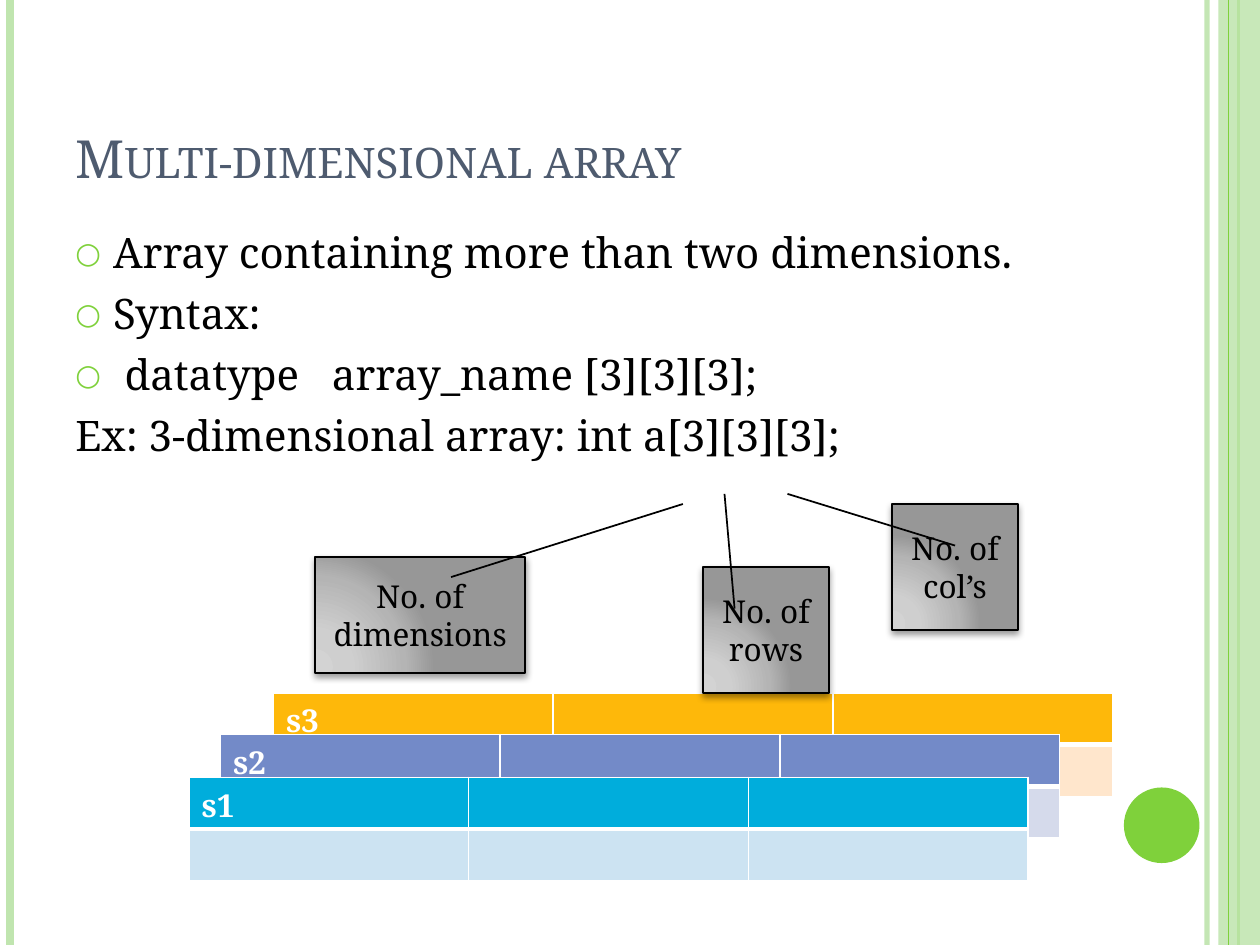
from dataclasses import dataclass
from lxml.etree import SubElement
from pptx import Presentation
from pptx.dml.color import RGBColor
from pptx.enum.shapes import MSO_CONNECTOR, MSO_SHAPE
from pptx.enum.text import MSO_ANCHOR, PP_ALIGN
from pptx.oxml import parse_xml
from pptx.oxml.ns import nsdecls, qn
from pptx.util import Inches, Pt


@dataclass(frozen=True)
class Theme:
    """Colours, font and type sizes of the slide."""
    font: str = "Noto Serif"
    title: str = "4E5B6F"
    ink: str = "000000"
    white: str = "FFFFFF"
    green: str = "7FD13B"
    pale: str = "C0E5AF"
    title_size: int = 30
    body_size: int = 24
    label_size: int = 18
    grey_stops: tuple = ((0, "D3D3D3"), (30, "CFCFCF"), (75, "B4B4B4"), (100, "979797"))


THEME = Theme()
TITLE = "Multi-dimensional array"
# pieces of text (joined by wide gaps), bulleted, extra left indent
BODY = [
    (["Array containing more than two dimensions."], True, 0),
    (["Syntax:"], True, 0),
    (["datatype", "array_name [3][3][3];"], True, 0.09),
    (["Ex: 3-dimensional array: int a[3][3][3];"], False, 0),
]
# name, left, top, header colour, row colour
LAYERS = [
    ("s3", 2.17, 5.5, "FEB80A", "FFE6CC"),
    ("s2", 1.75, 5.83, "738AC8", "D5DAEB"),
    ("s1", 1.5, 6.17, "00ADDC", "CCE3F2"),
]
LABELS = [
    ("No. of dimensions", 2.5, 4.42, 1.67, 0.92),
    ("No. of rows", 5.58, 4.5, 1, 1),
    ("No. of col’s", 7.08, 4, 1, 1),
]
POINTERS = [(5.42, 4, 3.58, 4.58), (5.75, 3.92, 5.83, 4.83), (6.25, 3.92, 7.58, 4.33)]
# x, colour, width, opacity
STRIPES_BELOW = [(9.58, THEME.pale, 3, 93), (0.08, THEME.pale, 4.5, 100),
                 (9.83, THEME.green, 1.5, 100)]
STRIPES_ABOVE = [(9.75, THEME.green, 0.75, 100)]
COLUMNS, COLUMN_WIDTH, ROW_HEIGHT = 3, 2.22, 0.41


def rgb(code):
    """Turn a hex code into a colour."""
    return RGBColor.from_string(code)


def set_opacity(fill, percent):
    """Make the colour of a solid fill partly transparent."""
    color = fill.find(".//" + qn("a:srgbClr"))
    SubElement(color, qn("a:alpha")).set("val", str(percent * 1000))


def style(para, size, color, bold=False):
    """Format every run of a paragraph."""
    for span in para.runs:
        span.font.name = THEME.font
        span.font.size = Pt(size)
        span.font.bold = bold
        span.font.color.rgb = rgb(color)


def add_line(page, ends, color, width, opacity=100):
    """Draw a straight line between two points."""
    line = page.shapes.add_connector(MSO_CONNECTOR.STRAIGHT, *map(Inches, ends))
    line.line.color.rgb = rgb(color)
    line.line.width = Pt(width)
    properties = line._element.spPr
    if opacity < 100:
        set_opacity(properties, opacity)
    SubElement(properties, qn("a:effectLst"))


def add_stripes(page, stripes):
    """Draw full-height vertical lines."""
    for x, color, width, opacity in stripes:
        add_line(page, (x, 0, x, 7.5), color, width, opacity)


def add_flat(page, kind, place, color):
    """Add a shape with a plain fill and no outline."""
    shape = page.shapes.add_shape(kind, *map(Inches, place))
    shape.shadow.inherit = False
    shape.fill.solid()
    shape.fill.fore_color.rgb = rgb(color)
    shape.line.fill.background()
    return shape


def add_text_frame(page, place, anchor):
    """Add a wrapping text box and give back its frame."""
    frame = page.shapes.add_textbox(*map(Inches, place)).text_frame
    frame.word_wrap = True
    frame.vertical_anchor = anchor
    return frame


def add_title(page):
    """Add the small-caps title."""
    frame = add_text_frame(page, (0.5, 0.3, 8.17, 1.25), MSO_ANCHOR.BOTTOM)
    frame.text = TITLE
    para = frame.paragraphs[0]
    style(para, THEME.title_size, THEME.title)
    para.runs[0].font._element.set("cap", "small")


def set_bullet(properties):
    """Give a paragraph the small green ring bullet."""
    color = SubElement(properties, qn("a:buClr"))
    SubElement(color, qn("a:srgbClr")).set("val", THEME.green)
    SubElement(properties, qn("a:buSzPct")).set("val", "70000")
    SubElement(properties, qn("a:buFont")).set("typeface", THEME.font)
    SubElement(properties, qn("a:buChar")).set("char", "○")


def add_body(page):
    """Add the body paragraphs."""
    frame = add_text_frame(page, (0.5, 1.75, 8.17, 5.33), MSO_ANCHOR.TOP)
    for index, (pieces, bulleted, extra) in enumerate(BODY):
        para = frame.add_paragraph() if index else frame.paragraphs[0]
        para.text = pieces[0]
        for piece in pieces[1:]:
            gap = para.add_run()
            gap.text = " "
            gap.font._element.set("spc", "1250")
            para.add_run().text = piece
        style(para, THEME.body_size, THEME.ink)
        para.space_before = Pt(6)
        properties = para._p.get_or_add_pPr()
        properties.set("marL", str(Inches(0.3 + extra)))
        properties.set("indent", str(-Inches(0.3 + extra)))
        if bulleted:
            set_bullet(properties)


def set_borders(cell, top, bottom):
    """Draw white cell borders; widths in points."""
    properties = cell._tc.get_or_add_tcPr()
    edges = (("lnL", 1), ("lnR", 1), ("lnT", top), ("lnB", bottom))
    for position, (tag, width) in enumerate(edges):
        properties.insert(position, parse_xml(
            f'<a:{tag} {nsdecls("a")} w="{Pt(width)}"><a:solidFill>'
            f'<a:srgbClr val="{THEME.white}"/></a:solidFill></a:{tag}>'))


def add_layer(page, name, left, top, header, body):
    """Add one two-row table of the stack."""
    place = (left, top, COLUMNS * COLUMN_WIDTH, 2 * ROW_HEIGHT)
    table = page.shapes.add_table(2, COLUMNS, *map(Inches, place)).table
    for column in table.columns:
        column.width = Inches(COLUMN_WIDTH)
    for row, (color, edges) in enumerate(((header, (1, 3)), (body, (3, 1)))):
        table.rows[row].height = Inches(ROW_HEIGHT)
        for cell in table.rows[row].cells:
            cell.fill.solid()
            cell.fill.fore_color.rgb = rgb(color)
            set_borders(cell, *edges)
    table.cell(0, 0).text = name
    style(table.cell(0, 0).text_frame.paragraphs[0], THEME.label_size, THEME.white, True)


def add_label(page, text, *place):
    """Add a grey gradient box with a soft shadow."""
    box = add_flat(page, MSO_SHAPE.RECTANGLE, place, THEME.white)
    box.line.color.rgb = rgb(THEME.ink)
    box.line.width = Pt(1)
    stops = "".join(f'<a:gs pos="{at * 1000}"><a:srgbClr val="{color}"/></a:gs>'
                    for at, color in THEME.grey_stops)
    properties = box._element.spPr
    properties.replace(properties.find(qn("a:solidFill")), parse_xml(
        f'<a:gradFill {nsdecls("a")}><a:gsLst>{stops}</a:gsLst><a:path path="circle">'
        '<a:fillToRect l="5000" t="100000" r="120000" b="10000"/></a:path></a:gradFill>'))
    properties.find(qn("a:effectLst")).append(parse_xml(
        f'<a:outerShdw {nsdecls("a")} blurRad="{Pt(4)}" dist="{Pt(2)}" dir="5400000" '
        f'rotWithShape="0"><a:srgbClr val="{THEME.ink}"><a:alpha val="40000"/>'
        '</a:srgbClr></a:outerShdw>'))
    box.text_frame.text = text
    box.text_frame.word_wrap = True
    box.text_frame.vertical_anchor = MSO_ANCHOR.MIDDLE
    para = box.text_frame.paragraphs[0]
    para.alignment = PP_ALIGN.CENTER
    style(para, THEME.label_size, THEME.ink)


deck = Presentation()
deck.slide_width, deck.slide_height = Inches(10), Inches(7.5)
page = deck.slides.add_slide(deck.slide_layouts[6])
add_stripes(page, STRIPES_BELOW)
band = add_flat(page, MSO_SHAPE.RECTANGLE, (9.67, 0, 0.33, 7.5), THEME.pale)
set_opacity(band._element.spPr, 87)
add_stripes(page, STRIPES_ABOVE)
add_flat(page, MSO_SHAPE.OVAL, (8.92, 6.25, 0.6, 0.6), THEME.green)
add_title(page)
add_body(page)
for layer in LAYERS:
    add_layer(page, *layer)
for label in LABELS:
    add_label(page, *label)
for pointer in POINTERS:
    add_line(page, pointer, THEME.ink, 1)
deck.save("out.pptx")
